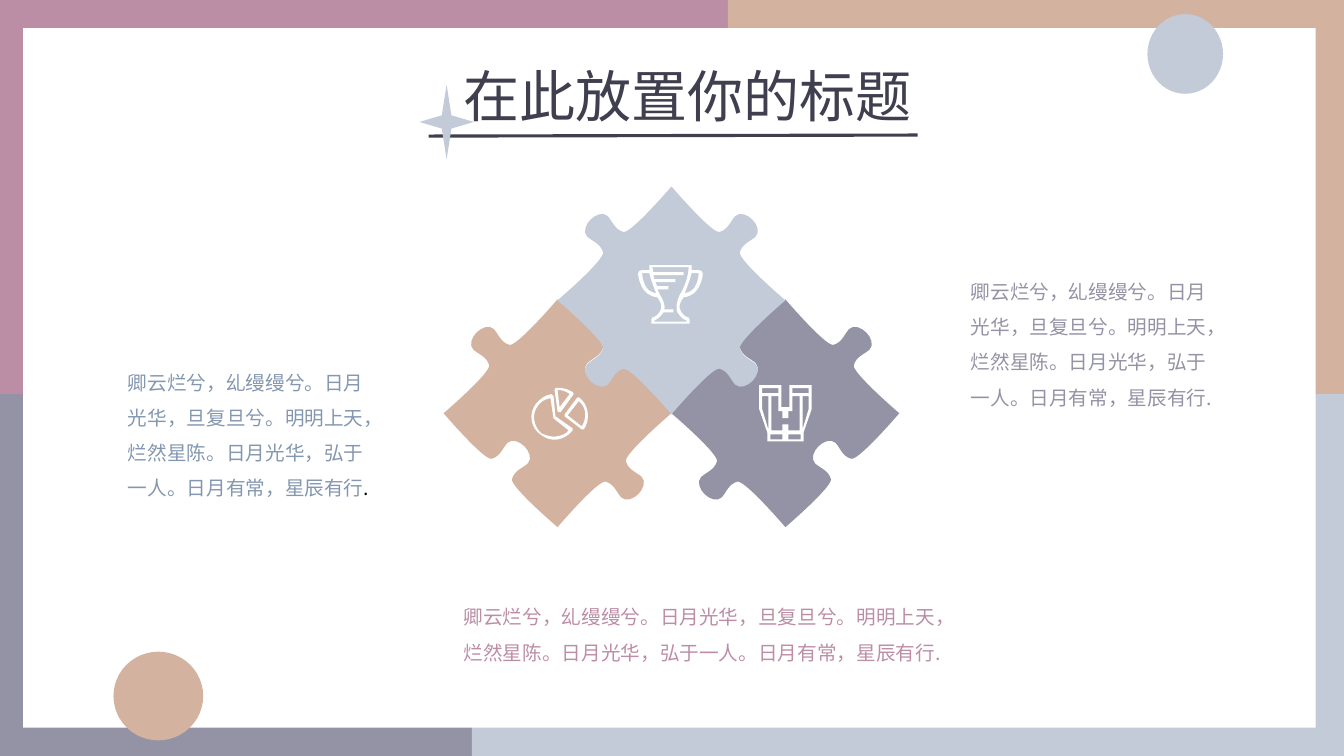
from lxml import etree
from pptx import Presentation
from pptx.dml.color import RGBColor
from pptx.enum.shapes import MSO_CONNECTOR, MSO_SHAPE
from pptx.enum.text import MSO_ANCHOR, PP_ALIGN
from pptx.oxml.ns import qn
from pptx.util import Inches, Pt

RECTANGLE, OVAL, STAR = MSO_SHAPE.RECTANGLE, MSO_SHAPE.OVAL, MSO_SHAPE.STAR_4_POINT
STRAIGHT, TOP, LEFT = MSO_CONNECTOR.STRAIGHT, MSO_ANCHOR.TOP, PP_ALIGN.LEFT

PINK, SAND, GREY, BLUE = "BC8EA6", "D3B3A0", "9493A5", "C3CBD8"
WHITE, INK = "FFFFFF", "403F4F"
CJK_FONT = "Noto Sans CJK SC"

TITLE = "在此放置你的标题"
POEM = ("卿云烂兮，乣缦缦兮。日月光华，旦复旦兮。明明上天，"
        "烂然星陈。日月光华，弘于一人。日月有常，星辰有行")
TEXTS = [
    ((1.17, 3.51, 2.69, 1.51), "8497B0", "0D0D0D"),
    ((4.5, 5.84, 5.21, 0.75), PINK, PINK),
    ((9.53, 2.61, 2.69, 1.51), GREY, GREY),
]
FRAME = [
    (RECTANGLE, (0, 0, 7.22, 3.91), PINK, 0),
    (RECTANGLE, (7.22, 0, 6.11, 3.91), SAND, 0),
    (RECTANGLE, (0, 3.91, 4.68, 3.59), GREY, 0),
    (RECTANGLE, (4.68, 3.91, 8.65, 3.59), BLUE, 0),
    (RECTANGLE, (0.23, 0.28, 12.82, 6.94), WHITE, 0),
]
ACCENTS = [
    (OVAL, (11.36, 0.16, 0.79, 0.75), BLUE, 90),
    (OVAL, (1.13, 6.46, 0.88, 0.89), SAND, 90),
]
UNDERLINE = (4.25, 1.35, 9.1, 1.34)
SPARKLE = (STAR, (4.16, 0.84, 0.54, 0.74), BLUE, 0)

PIECE_RADIUS = 1.13
HALF_EDGE = [
    (0, 0),
    (0, 0, 0.38, -0.03, 0.41, 0.01),
    (0.44, 0.06, 0.41, 0.11, 0.41, 0.15),
    (0.41, 0.19, 0.46, 0.21, 0.5, 0.21),
]
PIECES = [
    ((5.53, 4.1), (1, -1, 1, -1), SAND),
    ((7.79, 4.1), (-1, 1, -1, 1), GREY),
    ((6.66, 2.98), (1, 1, 1, 1), BLUE),
]

PIE_BODY = [
    [(5.51, 4.13), (5.49, 3.93), (5.47, 3.91), (5.4, 3.92, 5.36, 3.96, 5.32, 4),
     (5.24, 4.1, 5.26, 4.24, 5.36, 4.31), (5.41, 4.35, 5.47, 4.37, 5.53, 4.36),
     (5.59, 4.35, 5.64, 4.32, 5.68, 4.27), (5.68, 4.25)],
    [(5.52, 4.33), (5.48, 4.34, 5.42, 4.32, 5.37, 4.3),
     (5.29, 4.23, 5.27, 4.1, 5.34, 4.02), (5.37, 3.98, 5.41, 3.96, 5.46, 3.95),
     (5.49, 4.15), (5.64, 4.27), (5.61, 4.31, 5.57, 4.32, 5.52, 4.33)],
]
PIE_RIGHT = [
    [(5.74, 3.94), (5.72, 3.95), (5.6, 4.11), (5.6, 4.13), (5.77, 4.26),
     (5.79, 4.26), (5.86, 4.16, 5.84, 4.01, 5.74, 3.94)],
    [(5.77, 4.23), (5.63, 4.12), (5.74, 3.98), (5.82, 4.04, 5.82, 4.15, 5.77, 4.23)],
]
PIE_TOP = [
    [(5.54, 4.09), (5.56, 4.09), (5.69, 3.91), (5.68, 3.89),
     (5.63, 3.86, 5.57, 3.84, 5.51, 3.85), (5.5, 3.87), (5.53, 4.08)],
    [(5.65, 3.91), (5.55, 4.04), (5.53, 3.87), (5.58, 3.87, 5.61, 3.88, 5.65, 3.91)],
]
BINOCULARS_AXIS = 7.79
BINOCULARS_HALVES = [
    [(7.79, 4.04), (7.75, 4.04), (7.75, 3.82), (7.53, 3.82), (7.53, 4.06),
     (7.61, 4.29), (7.61, 4.38), (7.79, 4.38)],
    [(7.79, 4.21), (7.76, 4.21), (7.76, 4.27), (7.65, 4.27), (7.65, 3.93),
     (7.72, 3.93), (7.72, 4.08), (7.76, 4.08), (7.76, 4.15), (7.79, 4.15)],
]
BINOCULARS_PAIRS = [
    [(7.56, 3.85), (7.72, 3.85), (7.72, 3.9), (7.56, 3.9)],
    [(7.62, 4.26), (7.56, 4.06), (7.56, 3.93), (7.62, 3.93)],
    [(7.76, 4.36), (7.64, 4.36), (7.64, 4.31), (7.76, 4.31)],
]
TROPHY_AXIS = 6.65
TROPHY_HALVES = [
    [(6.65, 2.63), (6.44, 2.63), (6.44, 2.68), (6.37, 2.68),
     (6.35, 2.68, 6.33, 2.69, 6.33, 2.71), (6.33, 2.72, 6.33, 2.77, 6.36, 2.83),
     (6.39, 2.9, 6.44, 2.94, 6.52, 2.95), (6.56, 3, 6.57, 3.05, 6.55, 3.08),
     (6.54, 3.11, 6.5, 3.15, 6.47, 3.15), (6.46, 3.17), (6.46, 3.21), (6.65, 3.21)],
]
TROPHY_PAIRS = [
    [(6.39, 2.81), (6.37, 2.76, 6.37, 2.72, 6.37, 2.71), (6.44, 2.71), (6.46, 2.78),
     (6.48, 2.83, 6.49, 2.87, 6.51, 2.91), (6.45, 2.9, 6.41, 2.87, 6.39, 2.81)],
]
TROPHY_CUP = [
    (6.74, 2.93), (6.71, 3, 6.7, 3.05, 6.72, 3.1), (6.74, 3.13, 6.77, 3.17, 6.81, 3.18),
    (6.81, 3.19), (6.49, 3.19), (6.49, 3.18), (6.52, 3.17, 6.56, 3.13, 6.58, 3.1),
    (6.68, 3.1), (6.68, 3.07), (6.59, 3.07), (6.6, 3.03, 6.58, 2.98, 6.55, 2.93),
    (6.52, 2.87), (6.63, 2.87), (6.63, 2.84), (6.52, 2.84), (6.5, 2.8), (6.7, 2.8),
    (6.7, 2.77), (6.49, 2.77), (6.48, 2.73), (6.78, 2.73), (6.78, 2.7), (6.48, 2.7),
    (6.47, 2.65), (6.83, 2.65), (6.83, 2.69, 6.82, 2.8, 6.74, 2.93),
]


def rgb(color):
    return RGBColor.from_string(color)


def paint(shape, color):
    shape.shadow.inherit = False
    shape.fill.solid()
    shape.fill.fore_color.rgb = rgb(color)
    shape.line.fill.background()


def add_preset(slide, kind, box, color, rotation):
    shape = slide.shapes.add_shape(kind, *map(Inches, box))
    shape.rotation = rotation
    paint(shape, color)


def pairs_of(item):
    return list(zip(item[::2], item[1::2]))


def transform(outline, move):
    return [sum((move(x, y) for x, y in pairs_of(item)), ()) for item in outline]


def mirror(outline, axis):
    flipped = transform(outline, lambda x, y: (2 * axis - x, y))
    result = [flipped[-1][-2:]]
    for previous, item in reversed(list(zip(flipped, flipped[1:]))):
        controls = sum(reversed(pairs_of(item)[:-1]), ())
        result.append(controls + previous[-2:])
    return result


def symmetric(halves, pairs, axis):
    joined = [half + mirror(half, axis)[1:] for half in halves]
    return joined + pairs + [mirror(side, axis) for side in pairs]


def add_outline(slide, contours, color):
    contours = [transform(contour, lambda x, y: (round(x * 1000), round(y * 1000)))
                for contour in contours]
    items = sum(contours, [])
    left = min(item[-2] for item in items)
    top = min(item[-1] for item in items)
    builder = slide.shapes.build_freeform(*contours[0][0], scale=Inches(1) / 1000)
    for index, contour in enumerate(contours):
        if index:
            builder.move_to(*contour[0])
        builder.add_line_segments([item[-2:] for item in contour[1:]], close=True)
    shape = builder.convert_to_shape()
    outline = shape._element.find(".//" + qn("a:path"))
    segments = [segment for segment in outline if segment.tag != qn("a:close")]
    for segment, item in zip(segments, items):
        if len(item) == 6:
            curve = etree.Element(qn("a:cubicBezTo"))
            for x, y in pairs_of(item):
                etree.SubElement(curve, qn("a:pt"), x=str(x - left), y=str(y - top))
            outline.replace(segment, curve)
    paint(shape, color)


def puzzle_outline(center, signs):
    edge = HALF_EDGE + mirror(HALF_EDGE, 0.5)[1:]
    corners = [(center[0] + PIECE_RADIUS * x, center[1] + PIECE_RADIUS * y)
               for x, y in ((0, -1), (-1, 0), (0, 1), (1, 0))]
    outline = [corners[0]]
    for (x, y), (end_x, end_y), sign in zip(corners, corners[1:] + corners[:1], signs):
        dx, dy = end_x - x, end_y - y
        outline += transform(edge[1:], lambda t, h: (x + t * dx - sign * h * dy,
                                                     y + t * dy + sign * h * dx))
    return outline


def format_run(run, font_name, size, color):
    run.font.size = Pt(size)
    run.font.color.rgb = rgb(color)
    run.font.name = font_name
    etree.SubElement(run.font._element, qn("a:ea"), typeface=CJK_FONT)


def add_title(slide):
    title = slide.shapes.title
    title.left, title.top, title.width, title.height = map(Inches, (4.5, 0.56, 4.8, 0.77))
    frame = title.text_frame
    frame.text = TITLE
    frame.word_wrap = True
    frame.vertical_anchor = TOP
    frame.paragraphs[0].alignment = LEFT
    format_run(frame.paragraphs[0].runs[0], "Roboto", 40, INK)
    slide.shapes._spTree.append(title._element)


def add_poem(slide, box, color, stop_color):
    frame = slide.shapes.add_textbox(*map(Inches, box)).text_frame
    frame.word_wrap = True
    paragraph = frame.paragraphs[0]
    paragraph.line_spacing = 1.5
    for text, run_color in ((POEM, color), (".", stop_color)):
        run = paragraph.add_run()
        run.text = text
        format_run(run, CJK_FONT, 14, run_color)


def main():
    presentation = Presentation()
    presentation.slide_width, presentation.slide_height = Inches(13.33), Inches(7.5)
    slide = presentation.slides.add_slide(presentation.slide_layouts[5])
    for part in FRAME:
        add_preset(slide, *part)
    add_title(slide)
    for part in ACCENTS:
        add_preset(slide, *part)
    underline = slide.shapes.add_connector(STRAIGHT, *map(Inches, UNDERLINE))
    underline.line.color.rgb = rgb(INK)
    underline.line.width = Pt(2.25)
    etree.SubElement(underline._element.spPr, qn("a:effectLst"))
    add_preset(slide, *SPARKLE)
    for center, signs, color in PIECES:
        add_outline(slide, [puzzle_outline(center, signs)], color)
    for wedge in (PIE_BODY, PIE_RIGHT, PIE_TOP):
        add_outline(slide, wedge, WHITE)
    binoculars = symmetric(BINOCULARS_HALVES, BINOCULARS_PAIRS, BINOCULARS_AXIS)
    add_outline(slide, binoculars, WHITE)
    trophy = symmetric(TROPHY_HALVES, TROPHY_PAIRS, TROPHY_AXIS)
    add_outline(slide, trophy + [TROPHY_CUP], WHITE)
    for text in TEXTS:
        add_poem(slide, *text)
    presentation.save("out.pptx")


if __name__ == "__main__":
    main()
